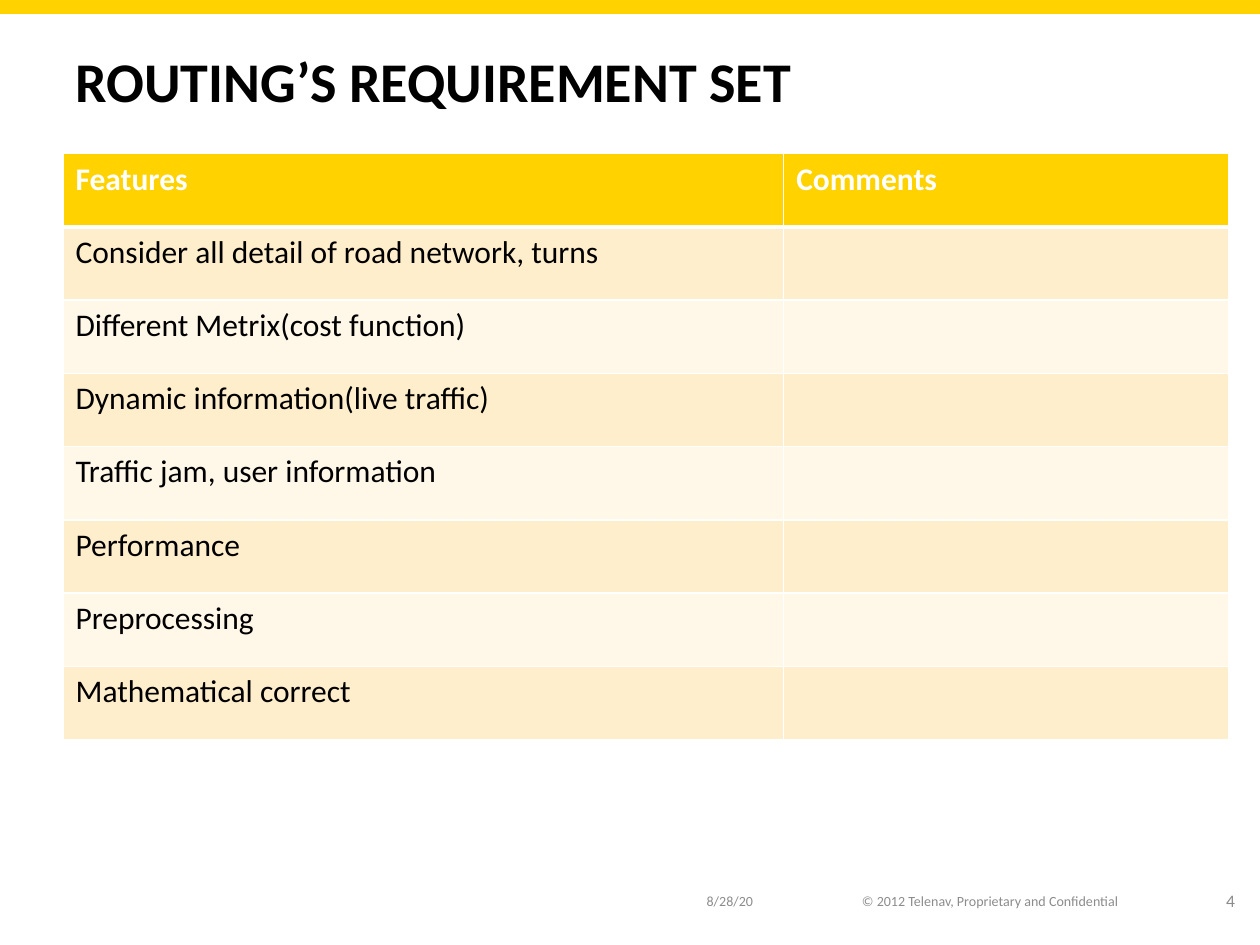
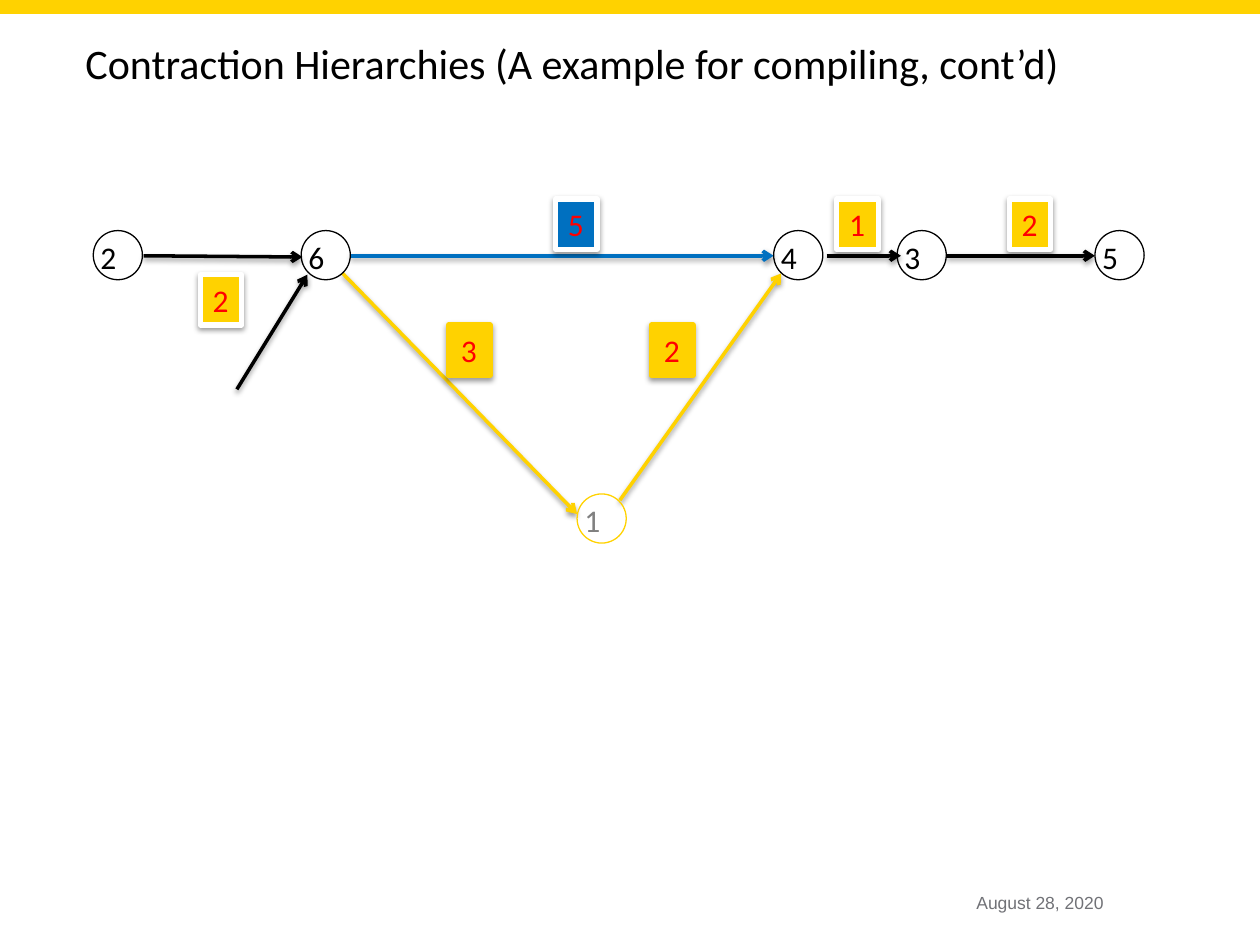
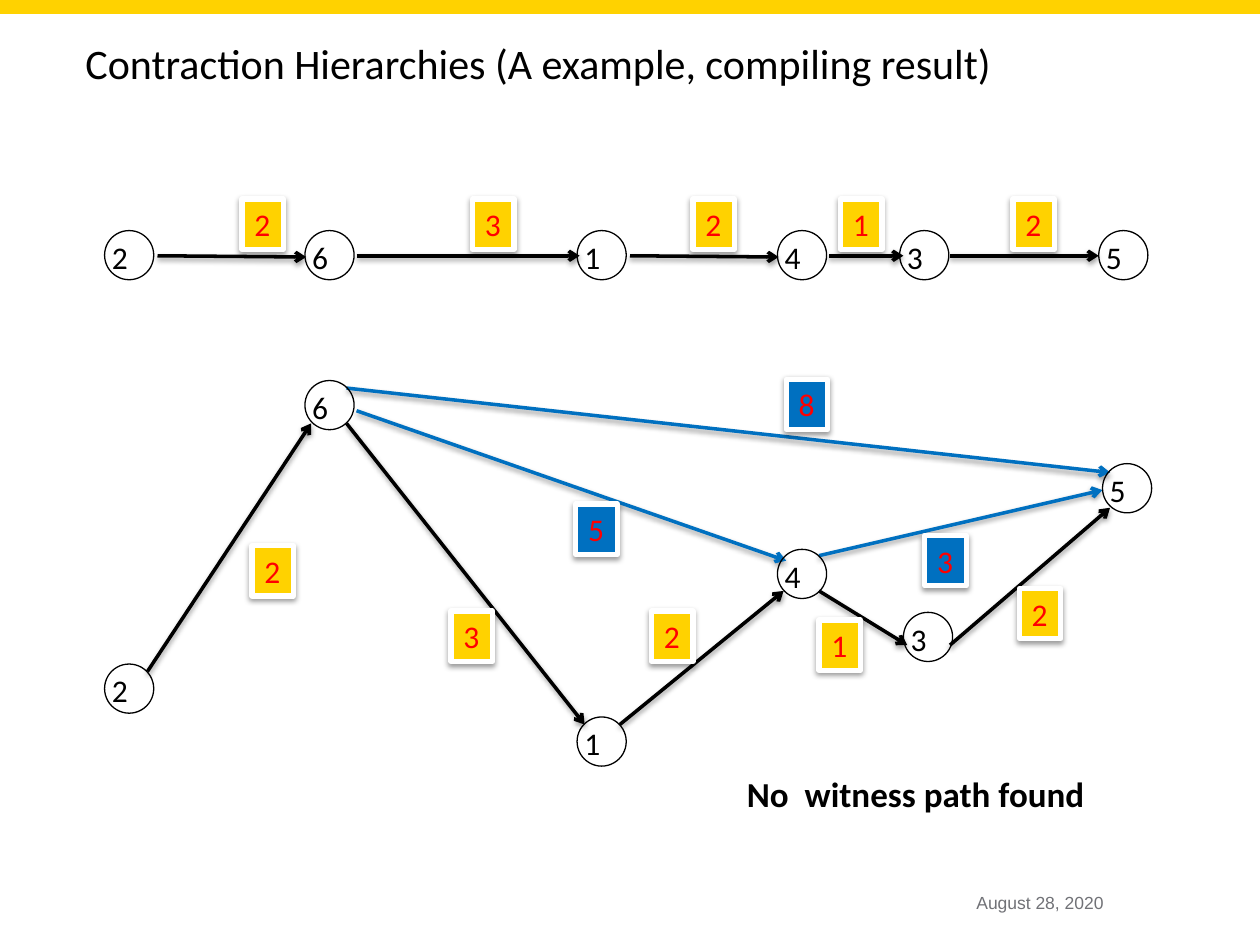
"""Build three routing slides: a requirement table and two contraction hierarchy graphs."""
from dataclasses import dataclass

from lxml.etree import SubElement
from pptx import Presentation
from pptx.dml.color import RGBColor
from pptx.enum.shapes import MSO_CONNECTOR as Connector, MSO_SHAPE as Shape
from pptx.enum.text import MSO_ANCHOR as Anchor, PP_ALIGN as Align
from pptx.oxml import parse_xml
from pptx.oxml.ns import nsdecls, qn
from pptx.util import Inches, Pt


@dataclass(frozen=True)
class Theme:
    yellow: str = "FFD200"
    blue: str = "0070C0"
    black: str = "000000"
    white: str = "FFFFFF"
    red: str = "FF0000"
    faded: str = "808080"
    footer: str = "8C8C8C"
    date: str = "717277"
    bands: tuple = ("FFEECC", "FFF7E7")
    font: str = "Calibri"
    date_font: str = "Arial"
    headline: int = 32
    title: int = 24
    note: int = 20
    body: int = 18
    small: int = 10
    tiny: int = 8


THEME = Theme()
BLACK, YELLOW, BLUE, WHITE = THEME.black, THEME.yellow, THEME.blue, THEME.white
NODE_SIZE = 0.39
LABEL_SIZE = (0.33, 0.4)
NO_INSETS = dict.fromkeys(("margin_left", "margin_top", "margin_right", "margin_bottom"), 0)

HEADLINE = "ROUTING’S REQUIREMENT SET"
FOOTERS = [
    ("8/28/20", (5.51, 6.95, 0.79, 0.4), THEME.tiny, Align.LEFT),
    ("© 2012 Telenav, Proprietary and Confidential", (6.71, 6.95, 2.3, 0.4), THEME.tiny, Align.CENTER),
    ("4", (9.47, 6.95, 0.43, 0.4), THEME.small, Align.RIGHT),
]
TABLE_BOX = (0.5, 1.22, 9.25, 4.65)
COLUMN_WIDTHS = (5.72, 3.53)
REQUIREMENTS = [
    ("Features", "Comments"),
    ("Consider all detail of road network, turns", ""),
    ("Different Metrix(cost function)", ""),
    ("Dynamic information(live traffic)", ""),
    ("Traffic jam, user information", ""),
    ("Performance", ""),
    ("Preprocessing", ""),
    ("Mathematical correct", ""),
]

DATE = "August 28, 2020"
NOTE = "No  witness path found"

# nodes: name, left, top, colours; edges: start, end, colour, weight, label place
GRAPHS = [
    {
        "title": "Contraction Hierarchies (A example for compiling, cont’d)",
        "nodes": [("2", 0.74, 1.83), ("6", 2.39, 1.83), ("4", 6.14, 1.83),
                  ("3", 7.12, 1.83), ("5", 8.69, 1.83)],
        "removed": [("1", 4.58, 3.92)],
        "edges": [
            ((1.14, 2.03), (2.4, 2.04), BLACK, "2", (1.59, 2.18)),
            ((4.92, 3.97), (6.2, 2.17), YELLOW, "2", (5.17, 2.58)),
            ((7.51, 2.03), (8.69, 2.03), BLACK, "2", (8.01, 1.58)),
            ((2.72, 2.17), (4.58, 4.08), YELLOW, "3", (3.56, 2.58)),
            ((6.56, 2.03), (7.15, 2.03), BLACK, "1", (6.64, 1.58)),
            ((2.78, 2.03), (6.14, 2.03), BLUE, "5", (4.41, 1.58)),
            ((1.88, 3.09), (2.44, 2.18), BLACK, "", None),
        ],
    },
    {
        "title": "Contraction Hierarchies (A example, compiling result)",
        "nodes": [("2", 0.83, 1.83), ("6", 2.42, 1.83), ("1", 4.58, 1.83),
                  ("4", 6.17, 1.83), ("3", 7.14, 1.83), ("5", 8.72, 1.83),
                  ("2", 0.83, 5.27), ("6", 2.42, 3.02), ("1", 4.58, 5.69),
                  ("4", 6.17, 4.36), ("3", 7.17, 4.86), ("5", 8.75, 3.68)],
        "removed": [],
        "edges": [
            ((1.25, 2.03), (2.43, 2.04), BLACK, "2", (1.92, 1.58)),
            ((2.83, 2.03), (4.6, 2.03), BLACK, "3", (3.75, 1.58)),
            ((5, 2.03), (6.18, 2.04), BLACK, "2", (5.5, 1.58)),
            ((6.58, 2.03), (7.17, 2.03), BLACK, "1", (6.67, 1.58)),
            ((7.54, 2.03), (8.72, 2.03), BLACK, "2", (8.04, 1.58)),
            ((2.83, 3.26), (6.24, 4.45), BLUE, "5", (4.57, 4)),
            ((6.5, 4.41), (8.75, 3.89), BLUE, "3", (7.34, 4.25)),
            ((2.75, 3.08), (8.81, 3.75), BLUE, "8", (6.24, 3.01)),
            ((1.17, 5.33), (2.47, 3.36), BLACK, "2", (2, 4.33)),
            ((2.75, 3.36), (4.64, 5.75), BLACK, "3", (3.58, 4.85)),
            ((4.92, 5.75), (6.22, 4.69), BLACK, "2", (5.17, 4.85)),
            ((6.5, 4.69), (7.2, 5.12), BLACK, "1", (6.5, 4.92)),
            ((7.54, 5.12), (8.81, 4.03), BLACK, "2", (8.09, 4.67)),
        ],
    },
]


def inches(values):
    return [Inches(value) for value in values]


def apply_format(target, values):
    for name, value in values.items():
        setattr(target, name, value)


def write(frame, text, color=BLACK, size=THEME.body, font=THEME.font, bold=False,
          align=Align.LEFT, **frame_format):
    apply_format(frame, {"word_wrap": True, "vertical_anchor": Anchor.TOP, **frame_format})
    paragraph = frame.paragraphs[0]
    paragraph.text = text
    paragraph.alignment = align
    apply_format(paragraph.font, {"name": font, "size": Pt(size), "bold": bold})
    paragraph.font.color.rgb = RGBColor.from_string(color)


def add_text(slide, text, box, **text_format):
    write(slide.shapes.add_textbox(*inches(box)).text_frame, text, **text_format)


def set_line(line, color, width):
    line.color.rgb = RGBColor.from_string(color)
    line.width = Pt(width)


def add_box(slide, kind, box, fill, outline, width):
    shape = slide.shapes.add_shape(kind, *inches(box))
    shape.shadow.inherit = False
    if fill:
        shape.fill.solid()
        shape.fill.fore_color.rgb = RGBColor.from_string(fill)
    else:
        shape.fill.background()
    set_line(shape.line, outline, width)
    return shape


def add_shadow(shape):
    properties = shape.element.spPr
    for effects in properties.findall(qn("a:effectLst")):
        properties.remove(effects)
    properties.append(parse_xml(
        f'<a:effectLst {nsdecls("a")}><a:outerShdw blurRad="{Pt(3.1)}" dist="{Pt(1.6)}" '
        f'dir="5400000" rotWithShape="0"><a:srgbClr val="{BLACK}"><a:alpha val="38000"/>'
        '</a:srgbClr></a:outerShdw></a:effectLst>'))


def add_arrow(slide, start, end, color):
    arrow = slide.shapes.add_connector(Connector.STRAIGHT, *inches(start + end))
    set_line(arrow.line, color, 2)
    SubElement(arrow.element.spPr.find(qn("a:ln")), qn("a:tailEnd"), type="arrow")
    add_shadow(arrow)


def add_weight(slide, weight, place, edge_color):
    fill = BLUE if edge_color == BLUE else YELLOW
    outline = YELLOW if edge_color == YELLOW else WHITE
    label = add_box(slide, Shape.RECTANGLE, place + LABEL_SIZE, fill, outline, 3)
    add_shadow(label)
    write(label.text_frame, weight, color=THEME.red, word_wrap=False)


def add_node(slide, name, left, top, outline=BLACK, color=BLACK):
    node = add_box(slide, Shape.OVAL, (left, top, NODE_SIZE, NODE_SIZE), None, outline, 0.75)
    write(node.text_frame, name, color=color, **NO_INSETS)


def add_slide(presentation):
    slide = presentation.slides.add_slide(presentation.slide_layouts[6])
    add_box(slide, Shape.RECTANGLE, (0, 0, 10, 0.11), YELLOW, YELLOW, 0.75)
    return slide


def style_cell(cell, fill, bottom_width):
    properties = cell._tc.get_or_add_tcPr()
    for side, width in (("L", 1), ("R", 1), ("T", 1), ("B", bottom_width)):
        properties.append(parse_xml(
            f'<a:ln{side} {nsdecls("a")} w="{Pt(width)}"><a:solidFill>'
            f'<a:srgbClr val="{WHITE}"/></a:solidFill></a:ln{side}>'))
    cell.fill.solid()
    cell.fill.fore_color.rgb = RGBColor.from_string(fill)


def add_requirements(slide):
    table = slide.shapes.add_table(len(REQUIREMENTS), len(COLUMN_WIDTHS), *inches(TABLE_BOX)).table
    for column, width in zip(table.columns, COLUMN_WIDTHS):
        column.width = Inches(width)
    for index, texts in enumerate(REQUIREMENTS):
        header = index == 0
        fill = YELLOW if header else THEME.bands[(index - 1) % 2]
        for position, text in enumerate(texts):
            cell = table.cell(index, position)
            style_cell(cell, fill, 3 if header else 1)
            write(cell.text_frame, text, color=WHITE if header else BLACK, bold=header)


def build_requirement_slide(presentation):
    slide = add_slide(presentation)
    add_text(slide, HEADLINE, (0.5, 0.3, 9.4, 0.67), size=THEME.headline, bold=True,
             vertical_anchor=Anchor.MIDDLE)
    for text, box, size, align in FOOTERS:
        add_text(slide, text, box, color=THEME.footer, size=size, align=align,
                 vertical_anchor=Anchor.MIDDLE)
    add_requirements(slide)


def build_graph_slide(presentation, graph):
    slide = add_slide(presentation)
    add_text(slide, DATE, (7.75, 7.08, 1.33, 0.28), color=THEME.date, size=THEME.small,
             font=THEME.date_font, **NO_INSETS)
    add_text(slide, graph["title"], (0.58, 0.25, 8.3, 0.5), size=THEME.title)
    for start, end, color, _, _ in graph["edges"]:
        add_arrow(slide, start, end, color)
    for _, _, color, weight, place in graph["edges"]:
        if weight:
            add_weight(slide, weight, place, color)
    for node in graph["nodes"]:
        add_node(slide, *node)
    for node in graph["removed"]:
        add_node(slide, *node, outline=YELLOW, color=THEME.faded)
    return slide


def main():
    presentation = Presentation()
    apply_format(presentation, {"slide_width": Inches(10), "slide_height": Inches(7.5)})
    build_requirement_slide(presentation)
    for graph in GRAPHS:
        slide = build_graph_slide(presentation, graph)
    add_text(slide, NOTE, (5.83, 6.08, 2.9, 0.44), size=THEME.note, bold=True, word_wrap=False)
    presentation.save("out.pptx")


if __name__ == "__main__":
    main()
